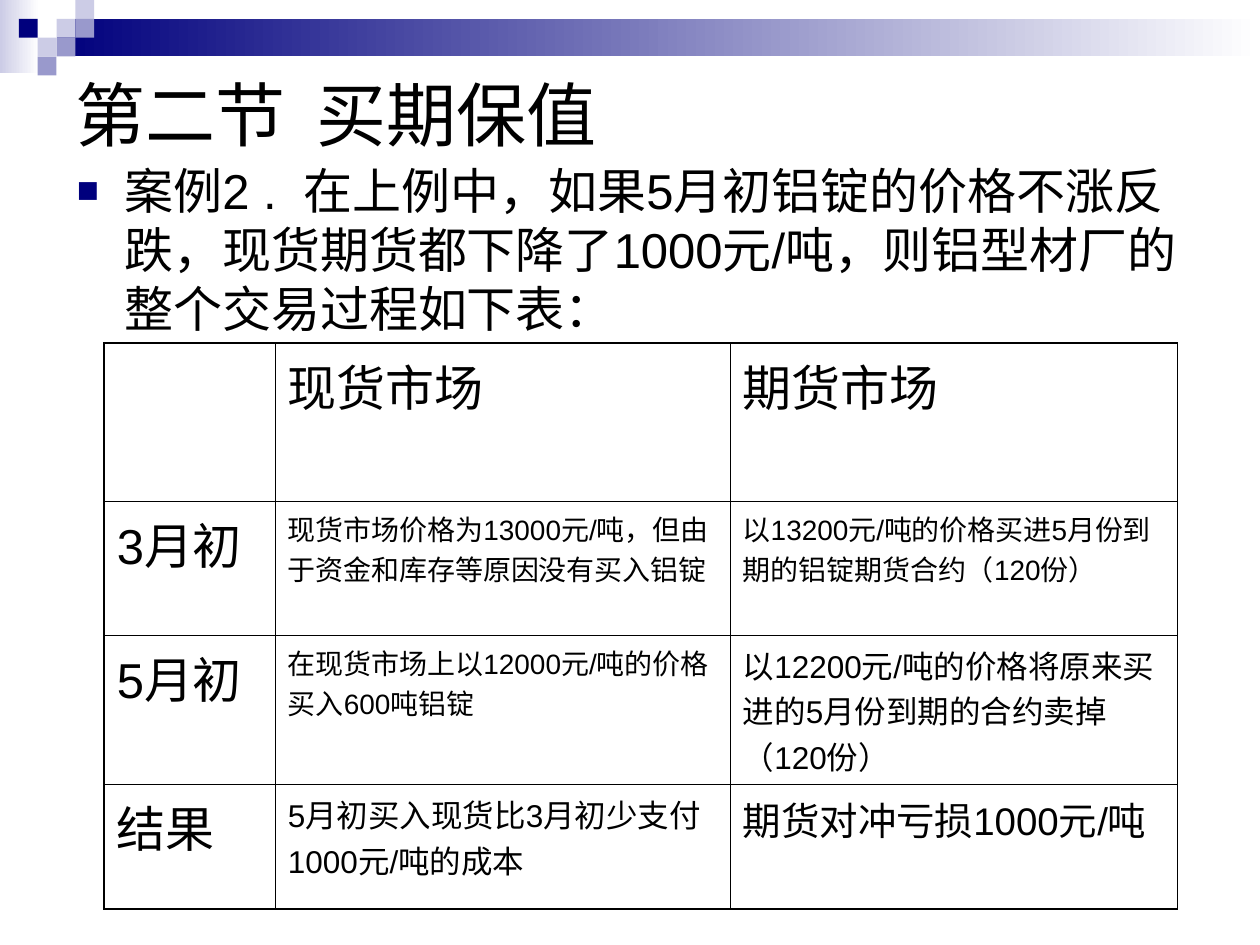
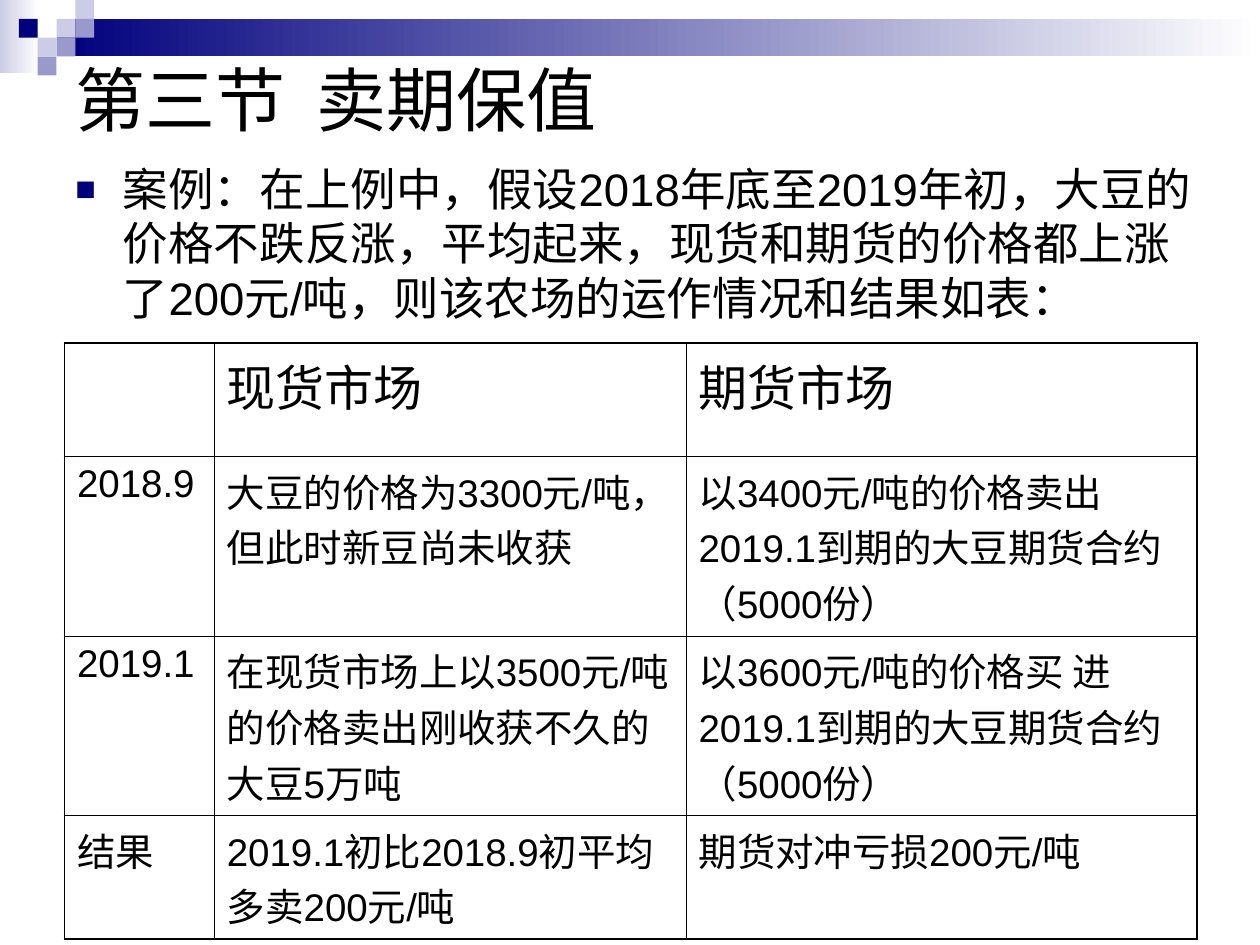
"""Build two lesson slides on hedging, each with a case and a comparison table."""
from dataclasses import dataclass

from lxml import etree
from pptx import Presentation
from pptx import util as u
from pptx.dml.color import RGBColor
from pptx.enum import shapes, text
from pptx.oxml import ns


@dataclass(frozen=True)
class Theme:
    """Colours, font and sizes shared by the slides."""
    navy: str = "00007D"
    violet: str = "9999CC"
    lilac: str = "CCCCE6"
    white: str = "FFFFFF"
    black: str = "000000"
    font: str = "Arial"
    title: int = 40
    head: int = 28
    large: int = 22
    medium: int = 18
    small: int = 16
    outer_line: float = 1.08
    inner_line: float = 0.45


THEME = Theme()
TILE = 0.38
BANDS = [
    (0, 0, 0.79, 1.47, THEME.lilac),
    (1.14, TILE, 24.26, 2 * TILE, THEME.navy),
]
TILES = [
    (3, 1, THEME.lilac), (4, 0, THEME.lilac), (4, 1, THEME.violet),
    (2, 2, THEME.lilac), (1, 1, THEME.navy), (3, 2, THEME.violet),
    (2, 3, THEME.violet),
]
TABLE_TOP = 6.92
LESSONS = [
    {
        "title": "第二节  买期保值",
        "title_height": 2.04,
        "case": "案例2 .  在上例中，如果5月初铝锭的价格不涨反跌，现货期货都下降了1000元/吨，"
                "则铝型材厂的整个交易过程如下表：",
        "case_size": 28,
        "case_place": (1.3, 3.12, 23.04, 13.89),
        "table_left": 2.1,
        "columns": [3.45, 9.17, 9.02],
        "rows": [3.19, 2.7, 3.01, 2.51],
        "cells": [
            ["", "现货市场", "期货市场"],
            ["3月初", "现货市场价格为13000元/吨，但由于资金和库存等原因没有买入铝锭",
             "以13200元/吨的价格买进5月份到期的铝锭期货合约（120份）"],
            ["5月初", "在现货市场上以12000元/吨的价格买入600吨铝锭",
             "以12200元/吨的价格将原来买进的5月份到期的合约卖掉（120份）"],
            ["结果", "5月初买入现货比3月初少支付1000元/吨的成本", "期货对冲亏损1000元/吨"],
        ],
        "sizes": [
            [THEME.head] * 3,
            [THEME.head, THEME.small, THEME.small],
            [THEME.head, THEME.small, THEME.medium],
            [THEME.head, THEME.medium, THEME.large],
        ],
    },
    {
        "title": "第三节  卖期保值",
        "title_height": 1.45,
        "case": "案例：在上例中，假设2018年底至2019年初，大豆的价格不跌反涨，平均起来，"
                "现货和期货的价格都上涨了200元/吨，则该农场的运作情况和结果如表：",
        "case_size": 26,
        "case_place": (1.27, 3.12, 23.44, 13.89),
        "table_left": 1.3,
        "columns": [3.02, 9.51, 10.3],
        "rows": [2.28, 3.62, 3.62, 2.49],
        "cells": [
            ["", "现货市场", "期货市场"],
            ["2018.9", "大豆的价格为3300元/吨，但此时新豆尚未收获",
             "以3400元/吨的价格卖出2019.1到期的大豆期货合约（5000份）"],
            ["2019.1", "在现货市场上以3500元/吨的价格卖出刚收获不久的大豆5万吨",
             "以3600元/吨的价格买 进2019.1到期的大豆期货合约（5000份）"],
            ["结果", "2019.1初比2018.9初平均多卖200元/吨", "期货对冲亏损200元/吨"],
        ],
        "sizes": [[THEME.head] * 3] + [[THEME.large] * 3] * 3,
    },
]


def lengths(values):
    """Turn numbers into centimetre lengths."""
    return [u.Cm(value) for value in values]


def style(para, size):
    """Format the runs of a paragraph and keep punctuation inside its lines."""
    para._p.get_or_add_pPr().set("hangingPunct", "0")
    for span in para.runs:
        span.font.name = THEME.font
        span.font.size = u.Pt(size)
        span.font.bold = False
        span.font.color.rgb = RGBColor.from_string(THEME.black)


def add_block(slide, place, colour, fade=False):
    """Draw a plain or fading rectangle."""
    block = slide.shapes.add_shape(shapes.MSO_SHAPE.RECTANGLE, *lengths(place))
    block.shadow.inherit = False
    block.line.fill.background()
    if fade:
        block.fill.gradient()
        block.fill.gradient_angle = 0
        for stop, shade, position in zip(block.fill.gradient_stops, (colour, THEME.white), (0, 1)):
            stop.color.rgb = RGBColor.from_string(shade)
            stop.position = position
    else:
        block.fill.solid()
        block.fill.fore_color.rgb = RGBColor.from_string(colour)
    return block


def decorate_master(deck, slide):
    """Draw the header ornament and move it to the slide master."""
    blocks = [add_block(slide, place, colour, fade=True) for *place, colour in BANDS]
    blocks += [add_block(slide, (column * TILE, row * TILE, TILE, TILE), colour)
               for column, row, colour in TILES]
    tree = deck.slide_master.shapes._spTree
    for index, block in enumerate(blocks, start=2):
        tree.insert(index, block._element)


def set_title(slide, lesson):
    """Place and format the title."""
    title = slide.shapes.title
    title.left, title.top, title.width, title.height = lengths(
        (1.27, 1.27, 22.86, lesson["title_height"]))
    frame = title.text_frame
    frame.text = lesson["title"]
    frame.auto_size = text.MSO_AUTO_SIZE.NONE
    frame.vertical_anchor = text.MSO_ANCHOR.MIDDLE
    frame.paragraphs[0].alignment = text.PP_ALIGN.LEFT
    style(frame.paragraphs[0], THEME.title)


def add_bullet(para):
    """Give a paragraph a square navy bullet with a hanging indent."""
    properties = para._p.get_or_add_pPr()
    properties.set("marL", str(u.Cm(0.96)))
    properties.set("indent", str(u.Cm(-0.96)))
    colour = etree.SubElement(properties, ns.qn("a:buClr"))
    etree.SubElement(colour, ns.qn("a:srgbClr"), val=THEME.navy)
    etree.SubElement(properties, ns.qn("a:buSzPct"), val="75000")
    etree.SubElement(properties, ns.qn("a:buFont"), typeface=THEME.font)
    etree.SubElement(properties, ns.qn("a:buChar"), char="■")


def add_case(slide, lesson):
    """Add the bulleted case description."""
    box = slide.shapes.add_textbox(*lengths(lesson["case_place"]))
    frame = box.text_frame
    frame.word_wrap = True
    frame.text = lesson["case"]
    para = frame.paragraphs[0]
    add_bullet(para)
    style(para, lesson["case_size"])


def set_borders(cell, outer_sides):
    """Draw the four cell borders, heavier on the outer sides."""
    properties = cell._tc.get_or_add_tcPr()
    for index, side in enumerate("LRTB"):
        weight = THEME.outer_line if side in outer_sides else THEME.inner_line
        line = etree.Element(ns.qn(f"a:ln{side}"), w=str(u.Pt(weight)))
        fill = etree.SubElement(line, ns.qn("a:solidFill"))
        etree.SubElement(fill, ns.qn("a:srgbClr"), val=THEME.black)
        properties.insert(index, line)


def add_comparison(slide, lesson):
    """Add the table comparing the spot and futures markets."""
    columns, rows = lesson["columns"], lesson["rows"]
    place = lengths((lesson["table_left"], TABLE_TOP, sum(columns), sum(rows)))
    table = slide.shapes.add_table(len(rows), len(columns), *place).table
    table.first_row = table.horz_banding = False
    for column, width in zip(table.columns, lengths(columns)):
        column.width = width
    for row, height in zip(table.rows, lengths(rows)):
        row.height = height
    for r, (words, sizes) in enumerate(zip(lesson["cells"], lesson["sizes"])):
        for c, (word, size) in enumerate(zip(words, sizes)):
            cell = table.cell(r, c)
            cell.text = word
            cell.fill.background()
            style(cell.text_frame.paragraphs[0], size)
            edges = {"L": c == 0, "R": c == len(columns) - 1,
                     "T": r == 0, "B": r == len(rows) - 1}
            set_borders(cell, [side for side, outer in edges.items() if outer])


def main():
    """Build and save the deck."""
    deck = Presentation()
    deck.slide_width, deck.slide_height = lengths((25.4, 19.05))
    for number, lesson in enumerate(LESSONS):
        slide = deck.slides.add_slide(deck.slide_layouts[5])
        if number == 0:
            decorate_master(deck, slide)
        set_title(slide, lesson)
        add_case(slide, lesson)
        add_comparison(slide, lesson)
    deck.save("out.pptx")


if __name__ == "__main__":
    main()
